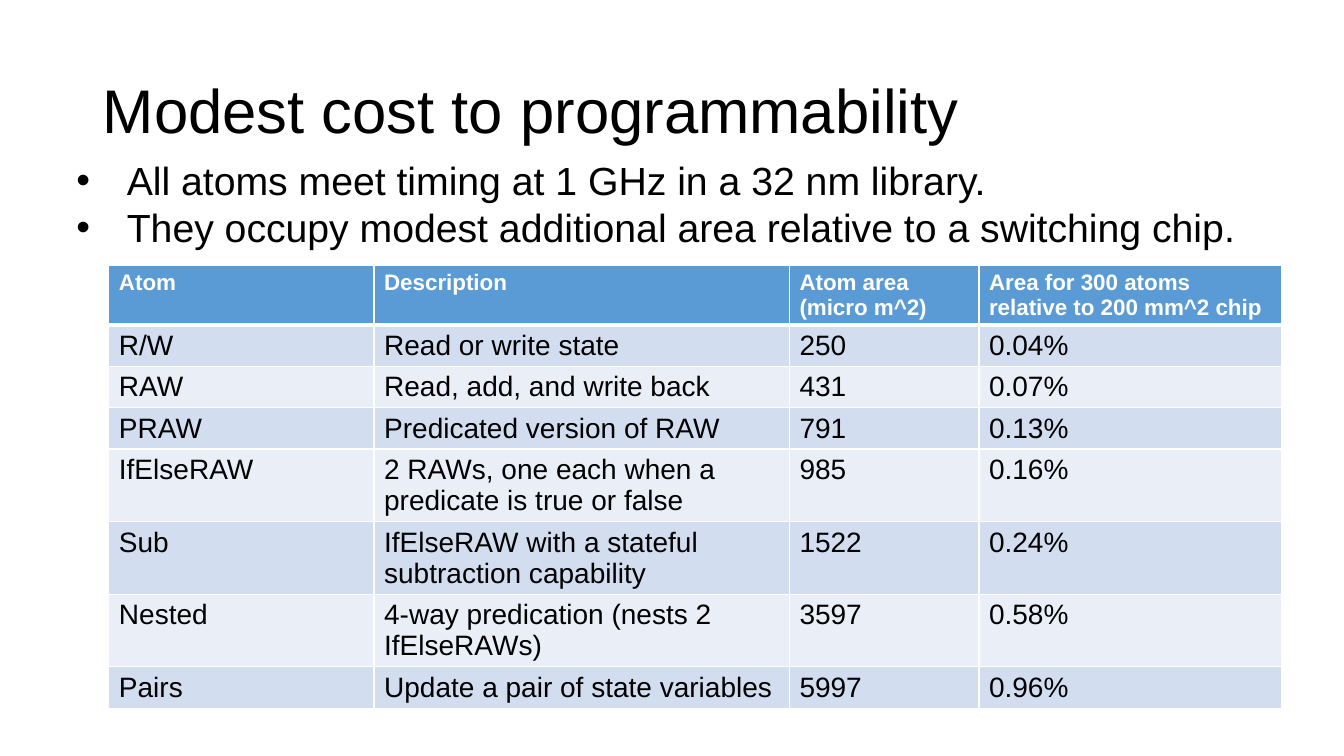
from lxml import etree
from pptx import Presentation
from pptx import util as u
from pptx.dml.color import RGBColor
from pptx.enum import text as t
from pptx.oxml import ns

COLORS = {"ink": "000000", "white": "FFFFFF", "head": "5B9BD5", "dark": "D2DEEF", "light": "EAEFF7"}
WIDTHS = [2.63, 4.12, 1.88, 3]
ROWS = [
    ["Atom", "Description", "Atom area\n(micro m^2)", "Area for 300 atoms relative to 200 mm^2 chip"],
    ["R/W", "Read or write state", "250", "0.04%"],
    ["RAW", "Read, add, and write back", "431", "0.07%"],
    ["PRAW", "Predicated version of RAW", "791", "0.13%"],
    ["IfElseRAW", "2 RAWs, one each when a predicate is true or false", "985", "0.16%"],
    ["Sub", "IfElseRAW with a stateful subtraction capability", "1522", "0.24%"],
    ["Nested", "4-way predication (nests 2 IfElseRAWs)", "3597", "0.58%"],
    ["Pairs", "Update a pair of state variables", "5997", "0.96%"],
]
POINTS = [
    "All atoms meet timing at 1 GHz in a 32 nm library.",
    "They occupy modest additional area relative to a switching chip.",
]


def color(name):
    return RGBColor.from_string(COLORS[name])


def node(parent, tag, **attrs):
    return etree.SubElement(parent, ns.qn(tag), attrs)


def write(frame, words, size=20, ink="ink", bold=False, font="Arial", space=None, bullet=False):
    for i, line in enumerate(words.split("\n")):
        para = frame.paragraphs[0] if i == 0 else frame.add_paragraph()
        para.alignment = t.PP_ALIGN.LEFT
        if space:
            para.line_spacing = space
        if bullet:
            props = para._p.get_or_add_pPr()
            props.set("marL", str(u.Inches(0.5)))
            props.set("indent", str(u.Inches(-0.5)))
            node(props, "a:buFont", typeface=font)
            node(props, "a:buChar", char="•")
        run = para.add_run()
        run.text = line
        run.font.size = u.Pt(size)
        run.font.name = font
        run.font.bold = bold
        run.font.color.rgb = color(ink)


class Deck:
    def __init__(self, font="Arial"):
        self.font = font
        self.prs = Presentation()
        self.prs.slide_width = u.Inches(13.33)
        self.prs.slide_height = u.Inches(7.5)
        self.slide = self.prs.slides.add_slide(self.prs.slide_layouts[5])

    def title(self, words, x, y, w, h):
        box = self.slide.shapes.title
        box.left, box.top, box.width, box.height = map(u.Inches, (x, y, w, h))
        frame = box.text_frame
        frame.word_wrap = True
        frame.auto_size = t.MSO_AUTO_SIZE.NONE
        frame.vertical_anchor = t.MSO_ANCHOR.MIDDLE
        write(frame, words, size=44, font=self.font, space=0.9)

    def bullets(self, lines, x, y, w, h):
        box = self.slide.shapes.add_textbox(*map(u.Inches, (x, y, w, h)))
        frame = box.text_frame
        frame.word_wrap = False
        frame.auto_size = t.MSO_AUTO_SIZE.SHAPE_TO_FIT_TEXT
        write(frame, "\n".join(lines), size=28, font=self.font, bullet=True)

    def border(self, cell, **widths):
        props = cell._tc.get_or_add_tcPr()
        for side in "LRTB":
            line = node(props, "a:ln" + side, w=str(u.Pt(widths.get(side, 1))))
            fill = node(line, "a:solidFill")
            node(fill, "a:srgbClr", val=COLORS["white"])

    def table(self, rows, widths, x, y, high):
        size = map(u.Inches, (x, y, sum(widths), high * len(rows)))
        grid = self.slide.shapes.add_table(len(rows), len(widths), *size).table
        for col, width in zip(grid.columns, widths):
            col.width = u.Inches(width)
        for r, row in enumerate(rows):
            grid.rows[r].height = u.Inches(high)
            for c, words in enumerate(row):
                cell = grid.cell(r, c)
                self.border(cell, T=3 if r == 1 else 1, B=3 if r == 0 else 1)
                cell.fill.solid()
                if r == 0:
                    cell.fill.fore_color.rgb = color("head")
                    write(cell.text_frame, words, size=16, ink="white", bold=True, font=self.font)
                else:
                    cell.fill.fore_color.rgb = color("dark" if r % 2 else "light")
                    write(cell.text_frame, words, font=self.font)


def main():
    deck = Deck()
    deck.table(ROWS, WIDTHS, 1.08, 2.63, 0.37)
    deck.title("Modest cost to programmability", 0.92, 0.4, 12.05, 1.45)
    deck.bullets(POINTS, 0.66, 1.5, 11.77, 1.04)
    deck.prs.save("out.pptx")


if __name__ == "__main__":
    main()
